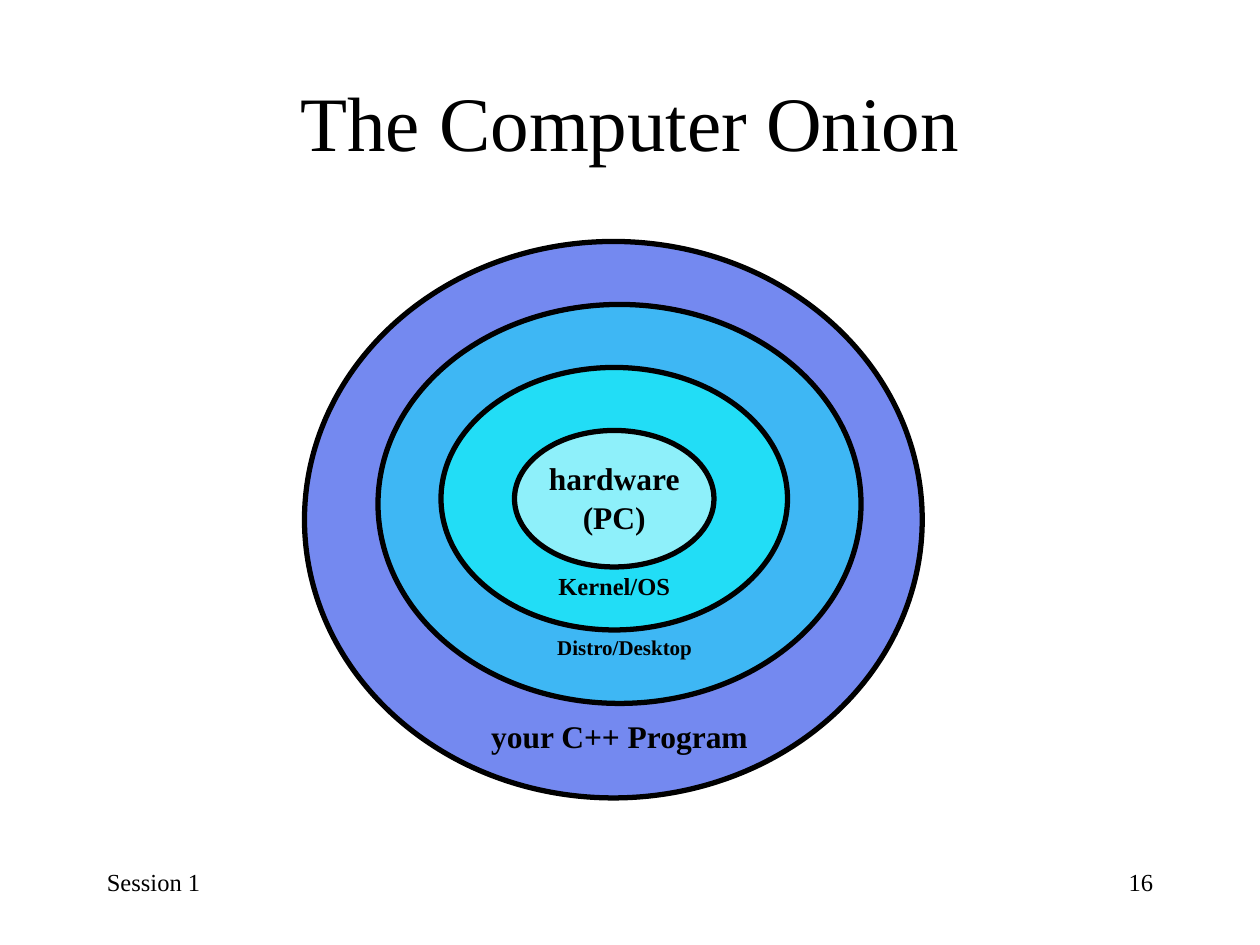
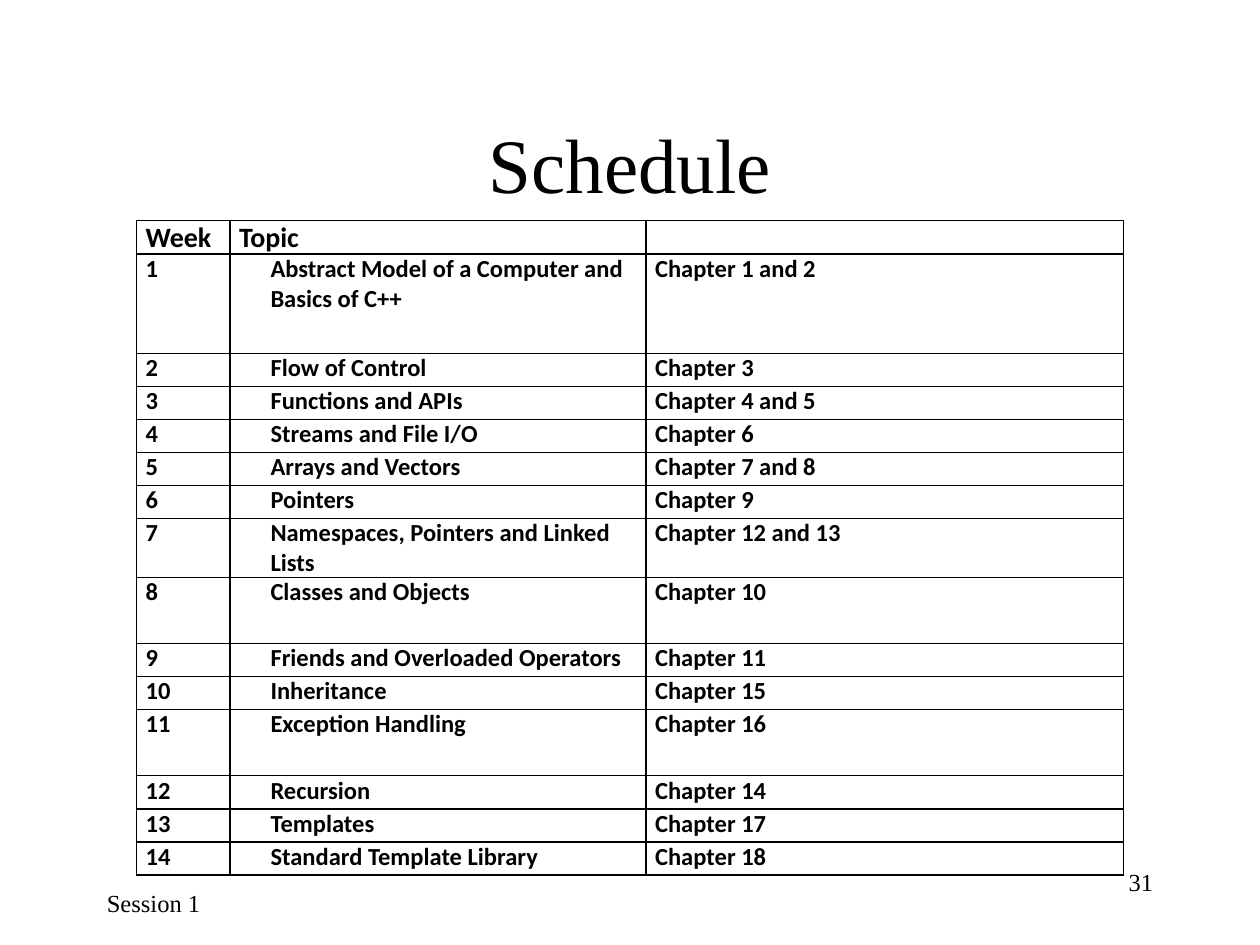
from dataclasses import dataclass
from typing import Optional

from lxml.etree import SubElement
from pptx import Presentation
from pptx.dml.color import RGBColor
from pptx.enum.shapes import MSO_SHAPE
from pptx.enum.text import MSO_ANCHOR, MSO_AUTO_SIZE, PP_ALIGN
from pptx.oxml.ns import qn
from pptx.util import Pt

BLACK = "000000"
TITLE_FONT = "Times New Roman"
TABLE_FONT = "Calibri"
MARGIN, CONTENT_WIDTH = 54, 612
FOOTER_WIDTH, FOOTER_HEIGHT = 150, 36
ROW_HEIGHT = 18.9


@dataclass(frozen=True)
class Box:
    """A rectangle in points."""
    left: float
    top: float
    width: float
    height: float

    def lengths(self) -> tuple:
        """Return the four lengths for python-pptx."""
        return Pt(self.left), Pt(self.top), Pt(self.width), Pt(self.height)


@dataclass(frozen=True)
class Layer:
    """One ring of the onion and its label."""
    ring: Box
    fill: str
    label: str
    label_box: Box
    size: float
    opacity: Optional[int] = None
    filled_label: bool = False


@dataclass(frozen=True)
class Week:
    """One row of the schedule; units is its least height in rows."""
    topic: str
    chapters: str
    units: int = 1


LAYERS = [
    Layer(Box(174, 138, 353, 318), "4662EC", "your C++ Program",
          Box(258, 408, 192, 28), 18, opacity=75),
    Layer(Box(216, 174, 276, 228), "3EB7F4", "Distro/Desktop",
          Box(300, 360, 114, 21), 12, filled_label=True),
    Layer(Box(252, 210, 198, 150), "22DDF6", "Kernel/OS",
          Box(306, 324, 90, 23), 14, filled_label=True),
    Layer(Box(294, 246, 114, 78), "8EF0FA", "hardware\n(PC)",
          Box(306.5, 260.5, 89, 49), 18),
]

WEEKS = [
    Week("Abstract Model of a Computer and\nBasics of C++", "Chapter 1 and 2", 3),
    Week("Flow of Control", "Chapter 3"),
    Week("Functions and APIs", "Chapter 4 and 5"),
    Week("Streams and File I/O", "Chapter 6"),
    Week("Arrays and Vectors", "Chapter 7 and 8"),
    Week("Pointers", "Chapter 9"),
    Week("Namespaces, Pointers and Linked Lists", "Chapter 12 and 13"),
    Week("Classes and Objects", "Chapter 10", 2),
    Week("Friends and Overloaded Operators", "Chapter 11"),
    Week("Inheritance", "Chapter 15"),
    Week("Exception Handling", "Chapter 16", 2),
    Week("Recursion", "Chapter 14"),
    Week("Templates", "Chapter 17"),
    Week("Standard Template Library", "Chapter 18"),
]


def color(value: str) -> RGBColor:
    """Turn a hex string into a colour."""
    return RGBColor.from_string(value)


def format_text(text_frame, size: float, font: str = TITLE_FONT,
                align=PP_ALIGN.LEFT, bold: bool = False) -> None:
    """Give every run of a text frame the same look."""
    for paragraph in text_frame.paragraphs:
        paragraph.alignment = align
        for run in paragraph.runs:
            run.font.name = font
            run.font.size = Pt(size)
            run.font.bold = bold
            run.font.color.rgb = color(BLACK)


def add_text(slide, box: Box, text: str, size: float,
             align=PP_ALIGN.LEFT, anchor=MSO_ANCHOR.TOP) -> None:
    """Add a wrapped text box."""
    text_frame = slide.shapes.add_textbox(*box.lengths()).text_frame
    text_frame.word_wrap = True
    text_frame.vertical_anchor = anchor
    text_frame.text = text
    format_text(text_frame, size, align=align)


def add_frame(slide, title: str, number: int, title_top: float = 24,
              session_top: float = 492) -> None:
    """Add the title, session footer and slide number."""
    add_text(slide, Box(MARGIN, title_top, CONTENT_WIDTH, 90), title, 44,
             PP_ALIGN.CENTER, MSO_ANCHOR.MIDDLE)
    add_text(slide, Box(MARGIN, session_top, FOOTER_WIDTH, FOOTER_HEIGHT),
             "Session 1", 14)
    number_left = MARGIN + CONTENT_WIDTH - FOOTER_WIDTH
    add_text(slide, Box(number_left, 492, FOOTER_WIDTH, FOOTER_HEIGHT),
             str(number), 14, PP_ALIGN.RIGHT)


def add_filled(shapes, kind, box: Box, fill: str):
    """Add a flat preset shape without an outline."""
    shape = shapes.add_shape(kind, *box.lengths())
    shape.shadow.inherit = False
    shape.fill.solid()
    shape.fill.fore_color.rgb = color(fill)
    shape.line.fill.background()
    return shape


def add_layer(slide, layer: Layer) -> None:
    """Add one ring grouped with its label."""
    shapes = slide.shapes.add_group_shape().shapes
    ring = add_filled(shapes, MSO_SHAPE.OVAL, layer.ring, layer.fill)
    ring.line.color.rgb = color(BLACK)
    ring.line.width = Pt(3)
    if layer.opacity is not None:
        fill_color = ring._element.spPr.find(qn("a:solidFill"))[0]
        SubElement(fill_color, qn("a:alpha"), val=str(layer.opacity * 1000))

    if layer.filled_label:
        label = add_filled(shapes, MSO_SHAPE.RECTANGLE, layer.label_box, layer.fill)
    else:
        label = shapes.add_textbox(*layer.label_box.lengths())
    text_frame = label.text_frame
    text_frame.text = layer.label
    single_line = len(text_frame.paragraphs) == 1
    text_frame.word_wrap = single_line
    text_frame.auto_size = MSO_AUTO_SIZE.SHAPE_TO_FIT_TEXT
    text_frame.vertical_anchor = MSO_ANCHOR.TOP if single_line else MSO_ANCHOR.MIDDLE
    format_text(text_frame, layer.size, align=PP_ALIGN.CENTER, bold=True)
    text_frame.paragraphs[0].line_spacing = 0.94
    if single_line:
        text_frame.paragraphs[0].space_before = Pt(11.1)


def add_borders(cell) -> None:
    """Draw a thin black line on all sides of a cell."""
    properties = cell._tc.get_or_add_tcPr()
    for side in ("lnL", "lnR", "lnT", "lnB"):
        line = SubElement(properties, qn(f"a:{side}"), w=str(Pt(1)))
        fill = SubElement(line, qn("a:solidFill"))
        SubElement(fill, qn("a:srgbClr"), val=BLACK)


def fill_cell(cell, text: str, size: float, indent: float = 0) -> None:
    """Write and format one table cell."""
    add_borders(cell)
    cell.fill.background()
    cell.margin_left = cell.margin_right = Pt(5.2)
    cell.margin_top = cell.margin_bottom = Pt(0)
    text_frame = cell.text_frame
    text_frame.text = text
    format_text(text_frame, size, TABLE_FONT, bold=True)
    for paragraph in text_frame.paragraphs:
        if indent:
            paragraph._p.get_or_add_pPr().set("marL", str(Pt(indent)))
        if not text:
            SubElement(paragraph._p, qn("a:endParaRPr"), sz=str(size * 100))


def add_schedule(slide, weeks: list[Week]) -> None:
    """Add the table of weeks, topics and chapters."""
    widths = (53.4, 237.8, 272.8)
    heights = [ROW_HEIGHT] + [ROW_HEIGHT * week.units for week in weeks]
    box = Box(78, 126, sum(widths), sum(heights))
    table = slide.shapes.add_table(len(heights), len(widths), *box.lengths()).table
    table.first_row = table.horz_banding = False
    for column, width in zip(table.columns, widths):
        column.width = Pt(width)
    for row, height in zip(table.rows, heights):
        row.height = Pt(height)

    for column, heading in enumerate(("Week", "Topic", "")):
        fill_cell(table.cell(0, column), heading, 16)
    for number, week in enumerate(weeks, start=1):
        fill_cell(table.cell(number, 0), str(number), 14)
        fill_cell(table.cell(number, 1), week.topic, 14, indent=18)
        fill_cell(table.cell(number, 2), week.chapters, 14)


def main() -> None:
    """Build and save both slides."""
    presentation = Presentation()
    presentation.slide_width, presentation.slide_height = Pt(720), Pt(540)
    blank = presentation.slide_layouts[6]

    onion_slide = presentation.slides.add_slide(blank)
    add_frame(onion_slide, "The Computer Onion", 16)
    for layer in LAYERS:
        add_layer(onion_slide, layer)

    schedule_slide = presentation.slides.add_slide(blank)
    add_frame(schedule_slide, "Schedule", 31, title_top=48, session_top=504)
    add_schedule(schedule_slide, WEEKS)

    presentation.save("out.pptx")


main()
